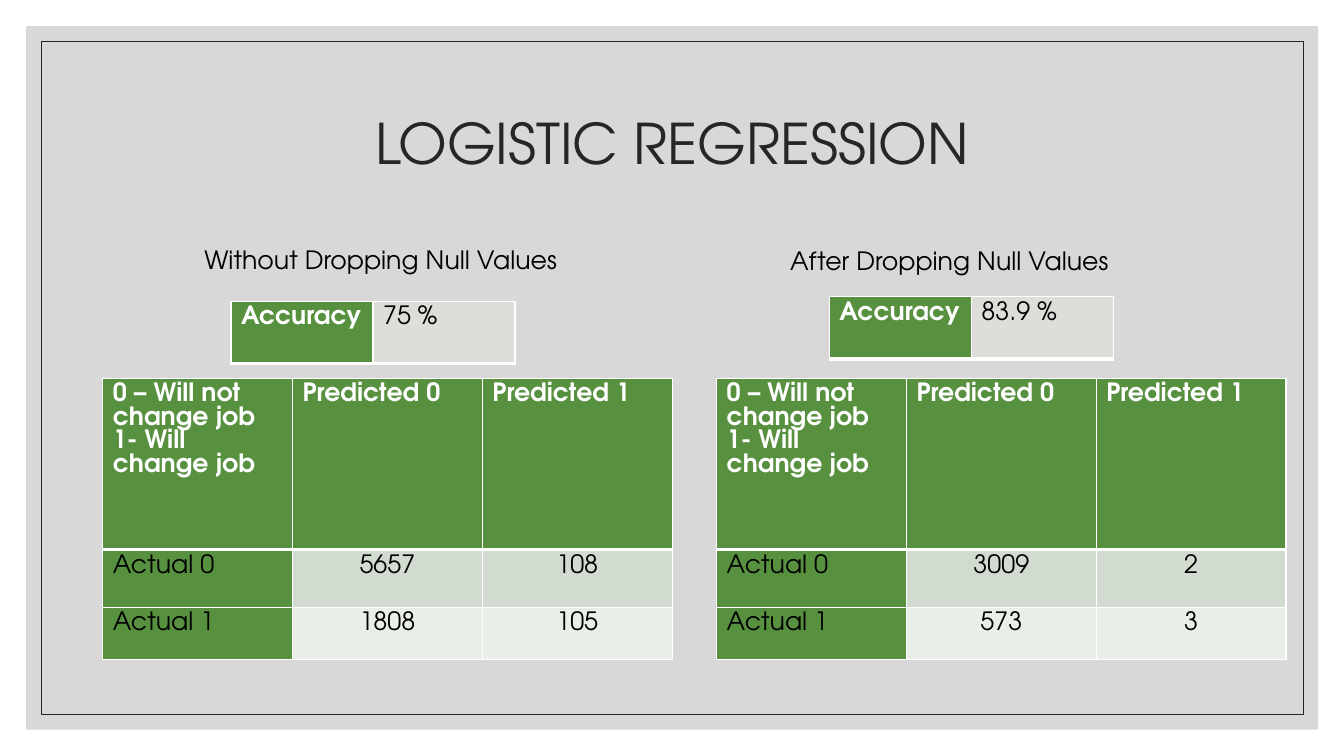
"""Build a slide that compares two logistic regression results in tables."""
from lxml.etree import SubElement
from pptx import Presentation
from pptx.dml.color import RGBColor as RGB
from pptx.enum.shapes import MSO_SHAPE as SHAPE
from pptx.enum.text import MSO_ANCHOR as ANCHOR, MSO_AUTO_SIZE as FIT, PP_ALIGN as ALIGN
from pptx.oxml.ns import qn
from pptx.util import Cm, Pt

HUES = {"panel": "BFBFBF", "ink": "262626", "black": "000000", "white": "FFFFFF",
        "green": "57903F", "sage": "D1DBCF", "mist": "EAEEE8", "stone": "DDDDD9"}
FONT = "TeX Gyre Adventor"


def put(frame, text, size=18, hue="black", bold=False, align=ALIGN.LEFT, space=None):
    frame.word_wrap = True
    frame.text = text
    for para in frame.paragraphs:
        para.alignment = align
        para.line_spacing = space
        font = para.runs[0].font
        font.name, font.size, font.bold = FONT, Pt(size), bold
        font.color.rgb = RGB.from_string(HUES[hue])


def grid(left, top, width, highs, rows, fills):
    count = len(rows[0])
    table = slide.shapes.add_table(len(rows), count, Cm(left), Cm(top),
                                   Cm(width), Cm(sum(highs))).table
    for col in table.columns:
        col.width = Cm(width / count)
    for r, row in enumerate(rows):
        table.rows[r].height = Cm(highs[r])
        for c, text in enumerate(row):
            cell = table.cell(r, c)
            head = fills[r][c] == "green" and r == 0
            put(cell.text_frame, text, hue="white" if head else "black", bold=head,
                align=ALIGN.CENTER if r and c else ALIGN.LEFT)
            edges = {"L": 1, "R": 1, "T": 3 if r == 1 else 1, "B": 3 if r == 0 else 1}
            props = cell._tc.get_or_add_tcPr()
            for side, wide in edges.items():
                line = SubElement(props, qn(f"a:ln{side}"), w=str(Pt(wide)))
                paint = SubElement(line, qn("a:solidFill"))
                SubElement(paint, qn("a:srgbClr"), val=HUES["white"])
            cell.fill.solid()
            cell.fill.fore_color.rgb = RGB.from_string(HUES[fills[r][c]])


deck = Presentation()
deck.slide_width, deck.slide_height = Cm(33.87), Cm(19.05)
slide = deck.slides.add_slide(deck.slide_layouts[6])

panel = slide.shapes.add_shape(SHAPE.RECTANGLE, Cm(0.66), Cm(0.66), Cm(32.56), Cm(17.73))
panel.shadow.inherit = False
panel.line.fill.background()
panel.fill.solid()
panel.fill.fore_color.rgb = RGB.from_string(HUES["panel"])
tint = panel._element.spPr.find(qn("a:solidFill"))[0]
SubElement(tint, qn("a:alpha"), val="60000")

frame = slide.shapes.add_shape(SHAPE.RECTANGLE, Cm(1.04), Cm(1.04), Cm(31.8), Cm(16.97))
frame.shadow.inherit = False
frame.fill.background()
frame.line.color.rgb = RGB.from_string(HUES["ink"])
frame.line.width = Pt(0.5)

title = slide.shapes.add_textbox(Cm(2.97), Cm(1.78), Cm(27.94), Cm(3.81)).text_frame
title.vertical_anchor = ANCHOR.MIDDLE
put(title, "LOGISTIC REGRESSION", size=40, hue="ink", align=ALIGN.CENTER, space=0.9)

key = "0 – Will not change job\n1- Will change job"
cases = [
    ("Without Dropping Null Values", (4.9, 6.02), "75 %", (5.82, 7.59), 2.59,
     ("5657", "108"), ("1808", "105")),
    ("After Dropping Null Values", (19.66, 6.05), "83.9 %", (20.9, 7.47), 18.06,
     ("3009", "2"), ("573", "3")),
]
for name, spot, score, place, left, zero, one in cases:
    grid(left, 9.53, 14.35, (4.32, 1.45, 1.32),
         [(key, "Predicted 0", "Predicted 1"), ("Actual 0", *zero), ("Actual 1", *one)],
         [("green",) * 3, ("green", "sage", "sage"), ("green", "mist", "mist")])
    label = slide.shapes.add_textbox(Cm(spot[0]), Cm(spot[1]), Cm(10.16), Cm(1.02)).text_frame
    label.auto_size = FIT.SHAPE_TO_FIT_TEXT
    put(label, name)
    grid(*place, 7.16, (1.57,), [("Accuracy", score)], [("green", "stone")])

deck.save("out.pptx")
